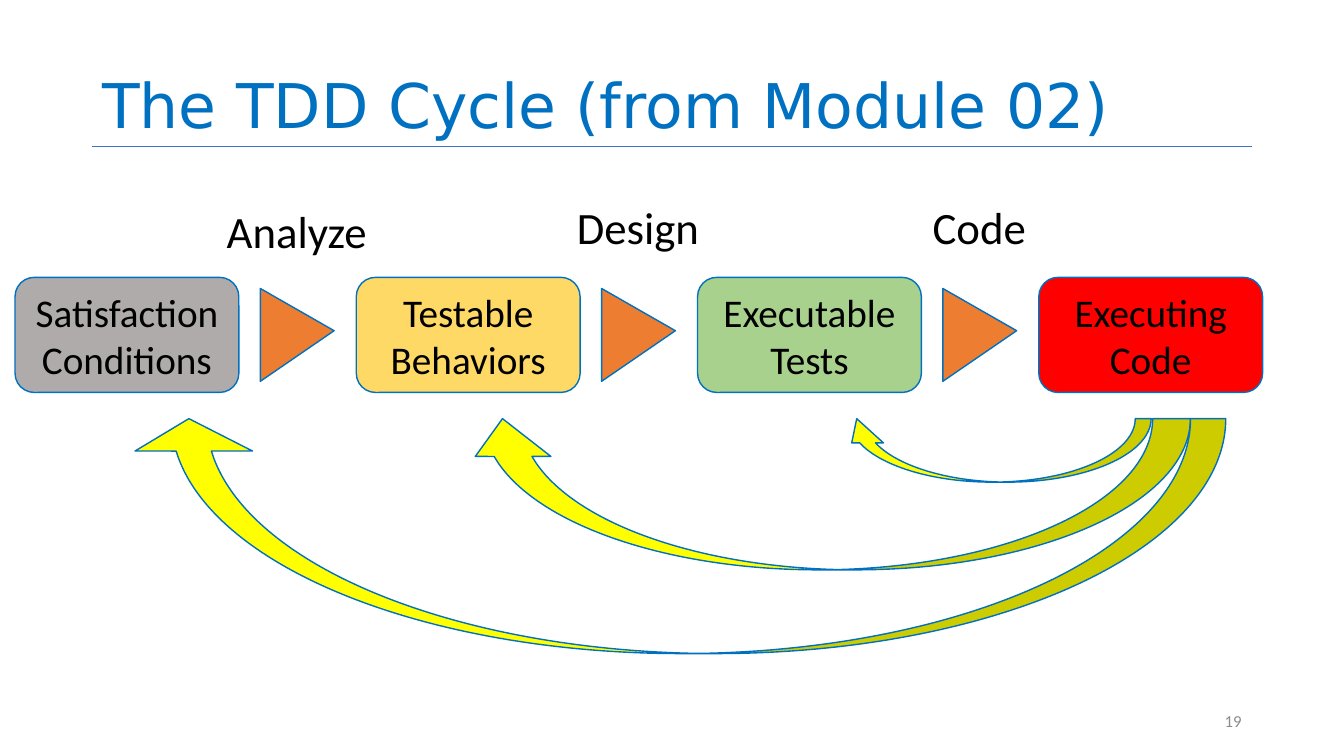
from lxml import etree
from pptx import Presentation
from pptx.dml.color import RGBColor
from pptx.enum import shapes, text
from pptx.oxml import ns
from pptx.util import Cm, Pt

BLUE = RGBColor(0x00, 0x70, 0xC0)
RULE = RGBColor(0x44, 0x72, 0xC4)
GRAY = RGBColor(0xAF, 0xAB, 0xAB)
GOLD = RGBColor(0xFF, 0xD9, 0x66)
GREEN = RGBColor(0xA9, 0xD1, 0x8E)
RED = RGBColor(0xFF, 0x00, 0x00)
ORANGE = RGBColor(0xED, 0x7D, 0x31)
YELLOW = RGBColor(0xFF, 0xFF, 0x00)
BLACK = RGBColor(0x00, 0x00, 0x00)
NUMBER = RGBColor(0x8C, 0x8C, 0x8C)
STEP = 8.6  # cm from one stage to the next

prs = Presentation()
prs.slide_width, prs.slide_height = Cm(33.87), Cm(19.05)
s = prs.slides.add_slide(prs.slide_layouts[6])


def write(sp, words, size, color=BLACK, font="Calibri",
          align=text.PP_ALIGN.CENTER, anchor=text.MSO_ANCHOR.MIDDLE):
    tf = sp.text_frame
    tf.word_wrap = True
    tf.vertical_anchor = anchor
    p = tf.paragraphs[0]
    p.alignment = align
    r = p.add_run()
    r.text = words
    for key, value in {"size": Pt(size), "name": font}.items():
        setattr(r.font, key, value)
    r.font.color.rgb = color
    return p


def add_outlined(kind, left, top, width, height, fill, rotation=0, adjust=()):
    sp = s.shapes.add_shape(kind, Cm(left), Cm(top), Cm(width), Cm(height))
    sp.shadow.inherit = False
    sp.fill.solid()
    sp.fill.fore_color.rgb = fill
    sp.line.color.rgb = BLUE
    sp.line.width = Pt(1)
    sp.rotation = rotation
    for i, value in enumerate(adjust):
        sp.adjustments[i] = value
    return sp


# Title, rule and slide number
rule = s.shapes.add_connector(shapes.MSO_CONNECTOR.STRAIGHT,
                              Cm(2.33), Cm(3.69), Cm(31.54), Cm(3.69))
rule.line.color.rgb = RULE
rule.line.width = Pt(0.5)
etree.SubElement(rule._element.spPr, ns.qn("a:effectLst"))

title = s.shapes.add_textbox(Cm(2.33), Cm(0), Cm(29.21), Cm(3.69))
p = write(title, "The TDD Cycle (from Module 02)", 44, BLUE, "DejaVu Sans",
          text.PP_ALIGN.LEFT, text.MSO_ANCHOR.BOTTOM)
p.line_spacing = 0.9

number = s.shapes.add_textbox(Cm(23.92), Cm(17.66), Cm(7.62), Cm(1.01))
write(number, "19", 12, NUMBER, align=text.PP_ALIGN.RIGHT)

# Stages
stages = [("Satisfaction Conditions", GRAY), ("Testable Behaviors", GOLD),
          ("Executable Tests", GREEN), ("Executing Code", RED)]
for i, (words, fill) in enumerate(stages):
    box = add_outlined(shapes.MSO_SHAPE.ROUNDED_RECTANGLE,
                       0.38 + i * STEP, 6.99, 5.64, 2.9, fill)
    write(box, words, 28)

# Activities between the stages
for i, (words, top) in enumerate([("Analyze", 5.06), ("Design", 4.95), ("Code", 4.95)]):
    add_outlined(shapes.MSO_SHAPE.ISOSCELES_TRIANGLE,
                 6.32 + i * STEP, 7.51, 2.34, 1.86, ORANGE, 90, [0.455])
    label = s.shapes.add_textbox(Cm(4.43 + i * STEP), Cm(top), Cm(6.1), Cm(1.52))
    write(label, words, 32)

# Feedback arrows: left, span and depth as seen, then adjustments
feedback = [(21.04, 7.82, 1.6, (0.25, 0.5, 0.382)),
            (11.56, 18.29, 3.81, (0.25, 0.5, 0.25)),
            (3.13, 27.61, 5.92, (0.15, 0.5, 0.138))]
for left, span, depth, adjust in feedback:
    inset = (span - depth) / 2
    add_outlined(shapes.MSO_SHAPE.CURVED_LEFT_ARROW, left + inset + 0.15,
                 10.55 - inset, depth, span, YELLOW, 90, adjust)

prs.save("out.pptx")
